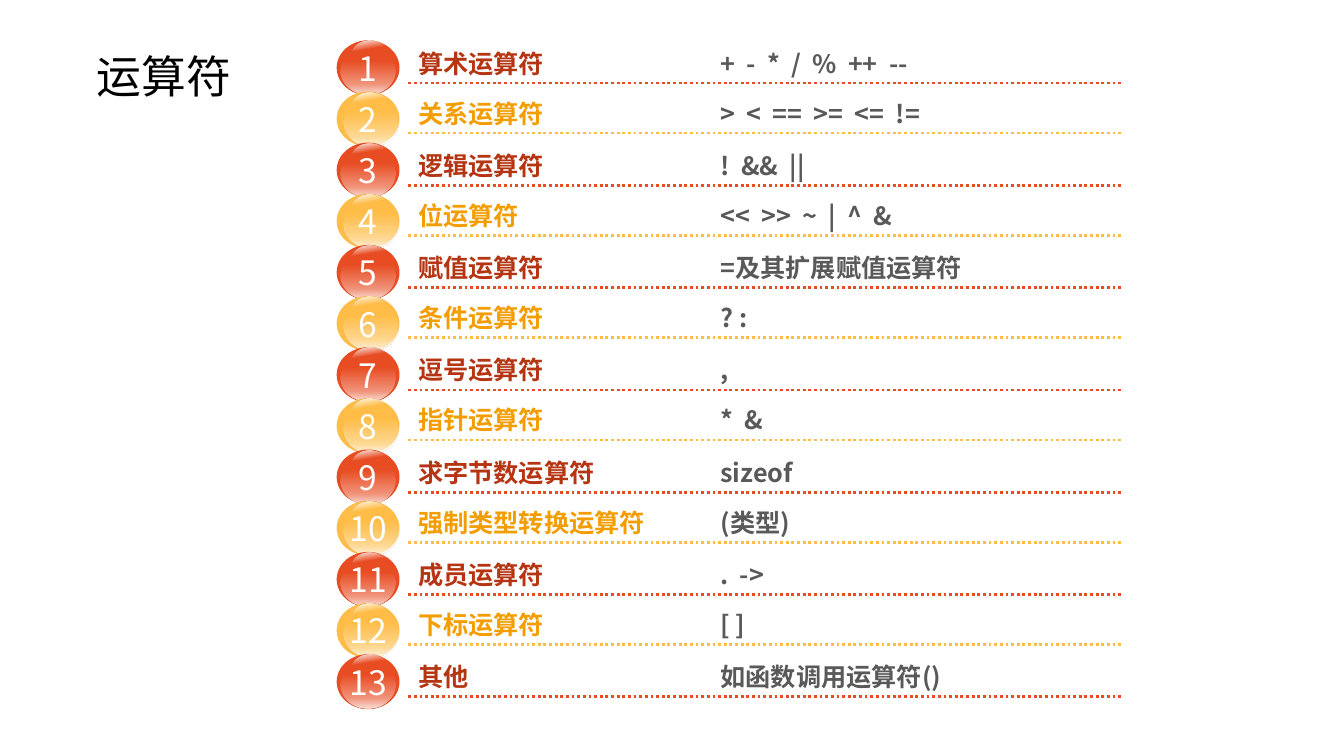
from dataclasses import dataclass

from lxml.etree import SubElement
from pptx import Presentation
from pptx.dml.color import RGBColor
from pptx.enum.dml import MSO_LINE_DASH_STYLE as Dash
from pptx.enum.shapes import MSO_CONNECTOR_TYPE as Connector, MSO_SHAPE as Preset
from pptx.enum.text import MSO_VERTICAL_ANCHOR as Anchor, PP_PARAGRAPH_ALIGNMENT as Align
from pptx.oxml.ns import qn
from pptx.shapes.autoshape import Shape
from pptx.shapes.shapetree import GroupShapes
from pptx.text.text import _Paragraph as Paragraph
from pptx.util import Pt

FONT = "Noto Sans CJK SC"
WHITE, BLACK, GREY = "FFFFFF", "000000", "595959"
FIRST_TOP, PITCH = 28.8, 36.54


@dataclass(frozen=True)
class Tone:
    ball: str
    label: str
    rule_drop: float
    glow_left: float


@dataclass(frozen=True)
class Operator:
    name: str
    symbols: tuple[str, ...]


@dataclass(frozen=True)
class Gloss:
    left: float
    drop: float
    width: float
    height: float
    rotation: float
    angle: int
    stops: tuple[tuple[int, int], ...]


TONES = (Tone("E84C22", "B53513", 30.5, 243.4), Tone("FFBD47", "F49D00", 29.7, 245.5))
SHINE_STOPS = ((0, 0), (16, 88), (30, 0))
GLOW_STOPS = ((28, 0), (78, 41), (98, 79))
OPERATORS = (
    Operator("算术运算符", ("+", "-", "*", "/", "%", "++", "--")),
    Operator("关系运算符", (">", "<", "==", ">=", "<=", "!=")),
    Operator("逻辑运算符", ("!", "&&", "||")),
    Operator("位运算符", ("<<", ">>", "~", "|", "^", "&")),
    Operator("赋值运算符", ("=及其扩展赋值运算符",)),
    Operator("条件运算符", ("? :",)),
    Operator("逗号运算符", (",",)),
    Operator("指针运算符", ("*", "&")),
    Operator("求字节数运算符", ("sizeof",)),
    Operator("强制类型转换运算符", ("(类型)",)),
    Operator("成员运算符", (".", "->")),
    Operator("下标运算符", ("[ ]",)),
    Operator("其他", ("如函数调用运算符()",)),
)


def color(value: str) -> RGBColor:
    """Turn a hex string into a colour."""
    return RGBColor.from_string(value)


def set_font(para: Paragraph, size: float, ink: str, bold: bool = False) -> None:
    """Set the paragraph font for both Latin and Chinese characters."""
    para.font.size = Pt(size)
    para.font.bold = bold
    para.font.color.rgb = color(ink)
    para.font.name = FONT
    SubElement(para._p.pPr.find(qn("a:defRPr")), qn("a:ea"), typeface=FONT)


def add_span(para: Paragraph, text: str, ink: str, spacing: float = 0) -> None:
    """Add a coloured run with optional letter spacing."""
    span = para.add_run()
    span.text = text
    span.font.color.rgb = color(ink)
    if spacing:
        span.font._element.set("spc", str(int(spacing * 100)))


def add_ellipse(shapes: GroupShapes, left: float, top: float, width: float, height: float) -> Shape:
    """Add an ellipse without outline or shadow."""
    ellipse = shapes.add_shape(Preset.OVAL, Pt(left), Pt(top), Pt(width), Pt(height))
    ellipse.shadow.inherit = False
    ellipse.line.fill.background()
    return ellipse


def add_ball(shapes: GroupShapes, top: float, number: int, tone: Tone) -> None:
    """Add the numbered ball."""
    ball = add_ellipse(shapes, 240.5, top, 44.9, 39.3)
    ball.fill.solid()
    ball.fill.fore_color.rgb = color(tone.ball)
    frame = ball.text_frame
    frame.margin_left = frame.margin_right = 0
    frame.vertical_anchor = Anchor.MIDDLE
    para = frame.paragraphs[0]
    para.text = str(number)
    para.alignment = Align.CENTER
    set_font(para, 24, WHITE)


def add_gloss(shapes: GroupShapes, top: float, gloss: Gloss) -> None:
    """Add a white reflection that fades through its gradient stops."""
    ellipse = add_ellipse(shapes, gloss.left, top + gloss.drop, gloss.width, gloss.height)
    ellipse.rotation = gloss.rotation
    ellipse.fill.gradient()
    gradient = ellipse._element.spPr.find(qn("a:gradFill"))
    for child in list(gradient):
        gradient.remove(child)
    stops = SubElement(gradient, qn("a:gsLst"))
    for position, opacity in gloss.stops:
        stop = SubElement(stops, qn("a:gs"), pos=str(position * 1000))
        tint = SubElement(stop, qn("a:srgbClr"), val=WHITE)
        SubElement(tint, qn("a:alpha"), val=str(opacity * 1000))
    SubElement(gradient, qn("a:lin"), ang=str(gloss.angle * 60000), scaled="0")


def add_rule(shapes: GroupShapes, height: float, tone: Tone) -> None:
    """Add the dotted line under a row."""
    rule = shapes.add_connector(Connector.STRAIGHT, Pt(291.6), Pt(height), Pt(802.1), Pt(height))
    rule.line.color.rgb = color(tone.ball)
    rule.line.width = Pt(2)
    rule.line.dash_style = Dash.ROUND_DOT
    SubElement(rule._element.spPr, qn("a:effectLst"))


def add_entry(shapes: GroupShapes, bottom: float, operator: Operator, tone: Tone) -> None:
    """Add the operator name and its symbols in two tabbed columns."""
    box = shapes.add_textbox(Pt(291.6), Pt(bottom - 27.4), Pt(499), Pt(27.4))
    frame = box.text_frame
    frame.word_wrap = True
    frame.vertical_anchor = Anchor.BOTTOM
    para = frame.paragraphs[0]
    tabs = SubElement(para._p.get_or_add_pPr(), qn("a:tabLst"))
    SubElement(tabs, qn("a:tab"), pos=str(Pt(216)), algn="l")
    set_font(para, 18, GREY, bold=True)
    add_span(para, operator.name + "\t", tone.label)
    for index, symbol in enumerate(operator.symbols):
        if index:
            add_span(para, " ", GREY, spacing=4)
        add_span(para, symbol, GREY)


def add_row(shapes: GroupShapes, index: int, operator: Operator) -> None:
    """Add one grouped row of the operator list."""
    tone = TONES[index % len(TONES)]
    top = FIRST_TOP + index * PITCH
    add_ball(shapes, top, index + 1, tone)
    add_rule(shapes, top + tone.rule_drop, tone)
    add_gloss(shapes, top, Gloss(249.1, 1.8, 36.7, 29.5, 35.7, 45, SHINE_STOPS))
    add_gloss(shapes, top, Gloss(tone.glow_left, 5, 38.9, 34, 0, 90, GLOW_STOPS))
    add_entry(shapes, top + tone.rule_drop, operator, tone)


def main() -> None:
    """Build the operator overview slide."""
    deck = Presentation()
    deck.slide_width, deck.slide_height = Pt(960), Pt(540)
    page = deck.slides.add_slide(deck.slide_layouts[6])
    title = page.shapes.add_textbox(Pt(61.9), Pt(24.5), Pt(164.2), Pt(64.1))
    title.text_frame.word_wrap = True
    title.text_frame.vertical_anchor = Anchor.MIDDLE
    para = title.text_frame.paragraphs[0]
    para.text = "运算符"
    para.line_spacing = 0.9
    set_font(para, 32, BLACK)
    for index, operator in enumerate(OPERATORS):
        add_row(page.shapes.add_group_shape().shapes, index, operator)
    deck.save("out.pptx")


if __name__ == "__main__":
    main()
